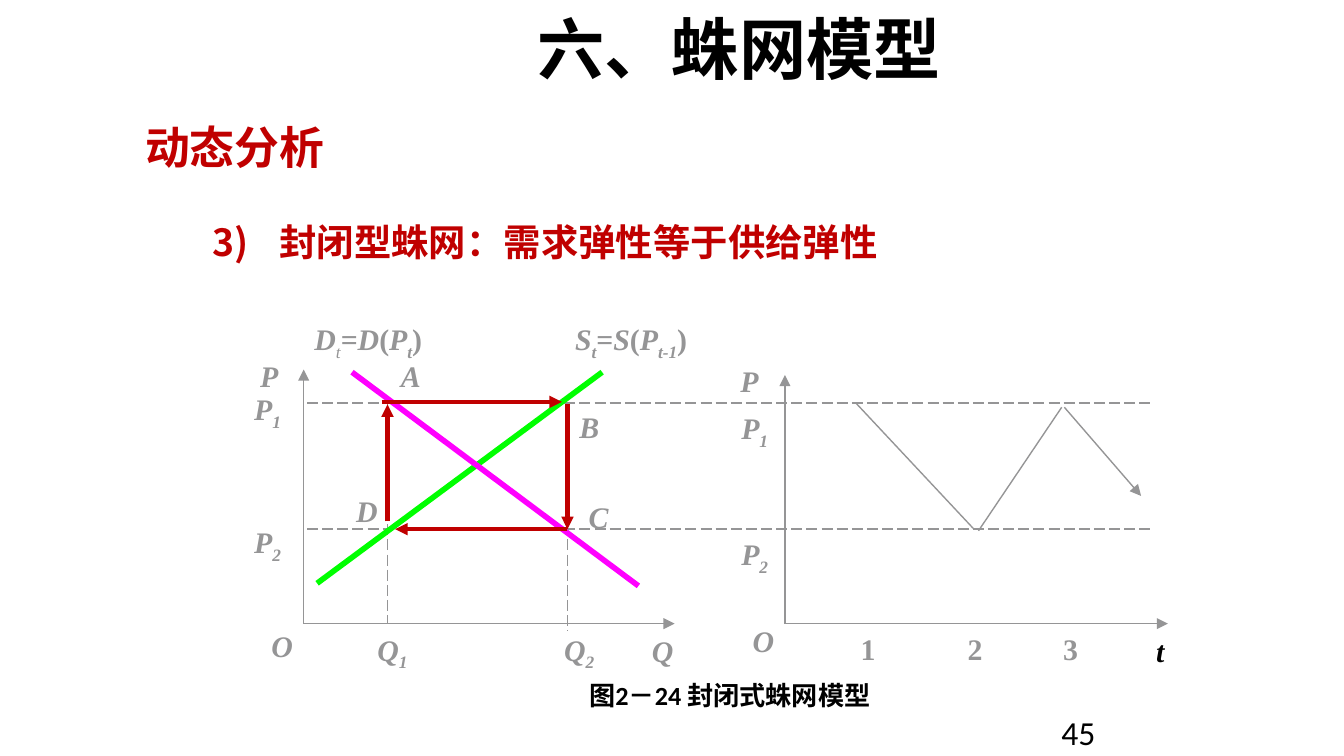
"""Build the slide on the closed cobweb model."""
from lxml.etree import SubElement
from pptx import Presentation
from pptx.dml.color import RGBColor
from pptx.enum.dml import MSO_LINE
from pptx.enum.shapes import MSO_CONNECTOR
from pptx.enum.text import MSO_ANCHOR, PP_ALIGN
from pptx.oxml.ns import qn
from pptx.util import Pt

COLORS = {"black": "000000", "red": "C00000", "gray": "959596",
          "supply": "00FF00", "demand": "FF00FF"}
SERIF = "Times New Roman"
Q1, Q2 = 207.6, 304
P1, P2 = 216, 283.5
LEFT_AXIS, RIGHT_AXIS, BASE = 162.7, 420.5, 334.1

prs = Presentation()
prs.slide_width, prs.slide_height = Pt(720), Pt(405)
s = prs.slides.add_slide(prs.slide_layouts[6])


def add_text(text, at=None, tf=None, size=16, font="Calibri", color="black", bold=True,
             align=PP_ALIGN.LEFT, anchor=MSO_ANCHOR.TOP, wrap=True, math=False):
    """Write text in a new box, or as a new paragraph of tf; in math, | splits runs."""
    if tf is None:
        tf = s.shapes.add_textbox(*[Pt(v) for v in at]).text_frame
        tf.word_wrap, tf.vertical_anchor = wrap, anchor
        p = tf.paragraphs[0]
    else:
        p = tf.add_paragraph()
    p.alignment = align
    for part in text.split("|") if math else [text]:
        r = p.add_run()
        r.text = part.lstrip("_~") if math else part
        f = r.font
        f.name, f.size = font, Pt(size)
        f.bold = bold and not part.startswith("~")
        f.color.rgb = RGBColor.from_string(COLORS[color])
        if math:
            f.italic = part[0] in "_~" or part.isalpha()
            if part[0] in "_~":
                f._element.set("baseline", "-25000")
    return tf


def add_line(x1, y1, x2, y2, color="gray", width=0.75, dash=False, arrow=False):
    """Draw a straight line, with an arrowhead at its end if asked."""
    c = s.shapes.add_connector(MSO_CONNECTOR.STRAIGHT, Pt(x1), Pt(y1), Pt(x2), Pt(y2))
    c.line.color.rgb = RGBColor.from_string(COLORS[color])
    c.line.width = Pt(width)
    if dash:
        c.line.dash_style = MSO_LINE.LONG_DASH
    if arrow:
        SubElement(c.line._get_or_add_ln(), qn("a:tailEnd"), type="triangle")
    SubElement(c._element.spPr, qn("a:effectLst"))


add_text("45", at=(561.5, 378, 146, 27), size=18, bold=False)
add_text("六、蛛网模型", at=(72, 0, 648, 51), size=36, align=PP_ALIGN.CENTER,
         anchor=MSO_ANCHOR.MIDDLE)

body = add_text("动态分析", at=(70.6, 60.5, 588, 130), size=24, font="Arial", color="red")
add_text("封闭型蛛网：需求弹性等于供给弹性", tf=body, size=20, font="Arial", color="red",
         align=PP_ALIGN.JUSTIFY)
p = body.paragraphs[1]
p.level, p.line_spacing, p.space_before = 1, 1.7, Pt(8)
pPr = p._p.get_or_add_pPr()
pPr.set("marL", str(Pt(72)))
pPr.set("indent", str(Pt(-36)))
SubElement(SubElement(pPr, qn("a:buClr")), qn("a:srgbClr"), val=COLORS["red"])
SubElement(pPr, qn("a:buAutoNum"), type="arabicParenR", startAt="3")

for x, top, end in [(LEFT_AXIS, 198, 361.4), (RIGHT_AXIS, 200.9, 625.7)]:
    add_line(x, BASE, x, top, arrow=True)
    add_line(x, BASE, end, BASE, arrow=True)
for y in (P1, P2):
    add_line(164.5, y, 617.8, y, dash=True)
for x, bottom in [(Q1, BASE), (Q2, 337.7)]:
    add_line(x, P1, x, bottom, dash=True)

add_line(322.6, 199.4, 169.9, 312.5, color="supply", width=3)
add_line(342, 313.9, 188.6, 199.4, color="demand", width=3)

for ends in [(Q2, P2, 211.7, P2), (Q1, 279.4, Q1, P1 + 0.7),
             (Q2, P1 + 0.7, Q2, P2), (204.5, P1 - 0.7, 301, P1 - 0.7)]:
    add_line(*ends, color="red", width=2.25, arrow=True)

add_line(458.6, P1, 521.3, 283)
add_line(524.2, 284.4, 568.8, 218.2)
add_line(570.2, 218.2, 611.3, 265.7, arrow=True)

LABELS = [
    ("D|~t|=|D|(|P|_t|)", 161.3, 168.5, 72), ("S|_t|=|S|(|P|_t-1|)", 301, 168.5, 74.2),
    ("O", 138.2, 332.6, 26), ("Q", 342, 335.5, 26), ("P", 131, 187.9, 26.6),
    ("P|_1", 123.3, 205.9, 40), ("P|_2", 123.3, 277.2, 40),
    ("Q|_1", 190.2, 334.8, 40), ("Q|_2", 290.3, 334.8, 40),
    ("A", 207.4, 187.9, 25.2), ("B", 303.1, 215.3, 25.2),
    ("C", 307.4, 263.5, 26.6), ("D", 183.6, 260.6, 26),
    ("P", 389.5, 190.8, 23.8), ("P|_1", 384.3, 216, 40), ("P|_2", 384.3, 283.7, 40),
    ("O", 396, 329.8, 26), ("1", 452.9, 334.1, 24.5), ("2", 511.2, 334.1, 22.3),
    ("3", 562.3, 334.1, 22.3), ("t", 609.5, 335.5, 24),
]
for text, x, y, w in LABELS:
    add_text(text, at=(x, y, w, 29.5 if "|" in text else 26.6), font=SERIF,
             color="black" if text == "t" else "gray", align=PP_ALIGN.CENTER,
             wrap=False, math=True)

add_text("图2－24 封闭式蛛网模型", at=(236.9, 360.7, 308.2, 24.5), size=14,
         align=PP_ALIGN.CENTER)

prs.save("out.pptx")
